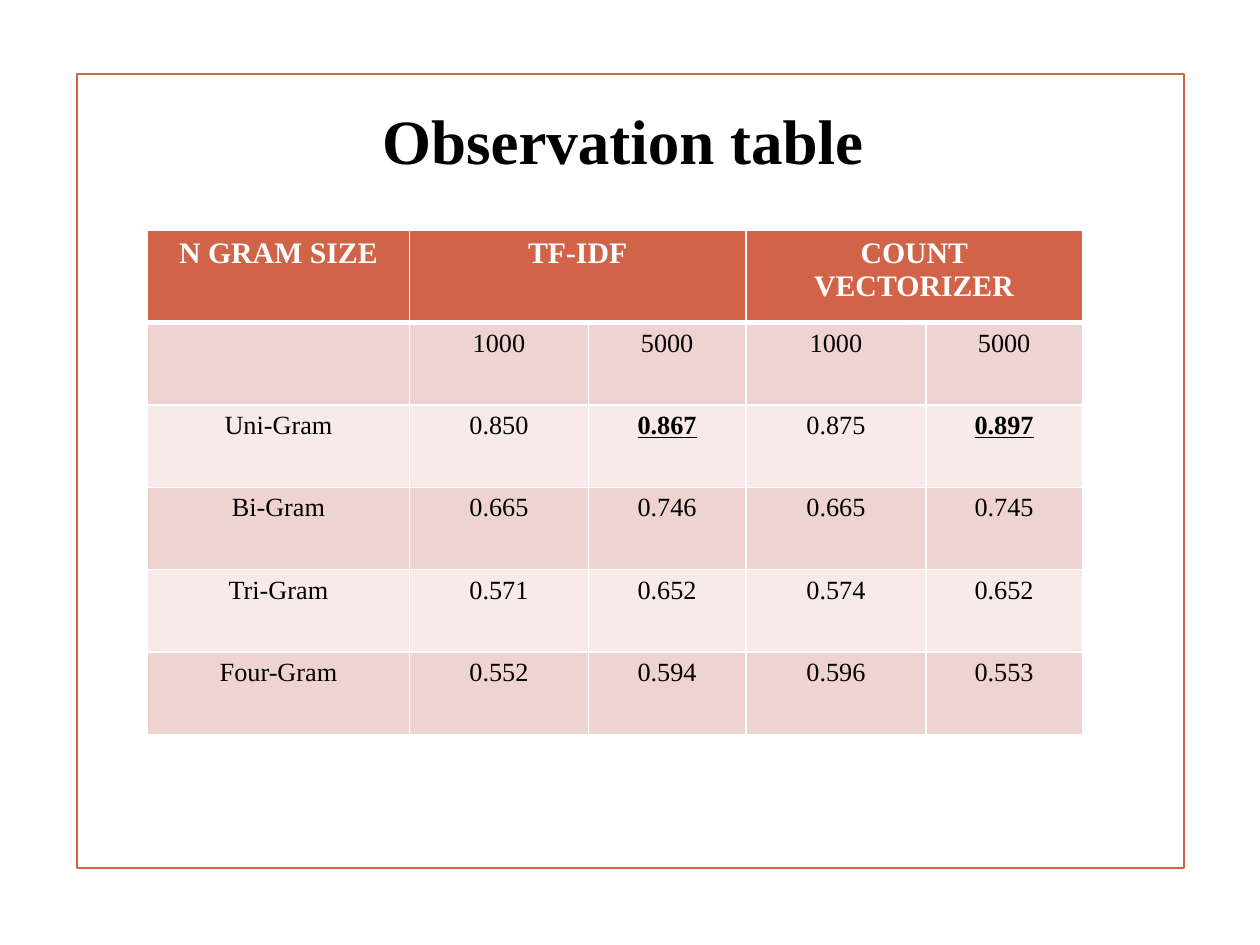
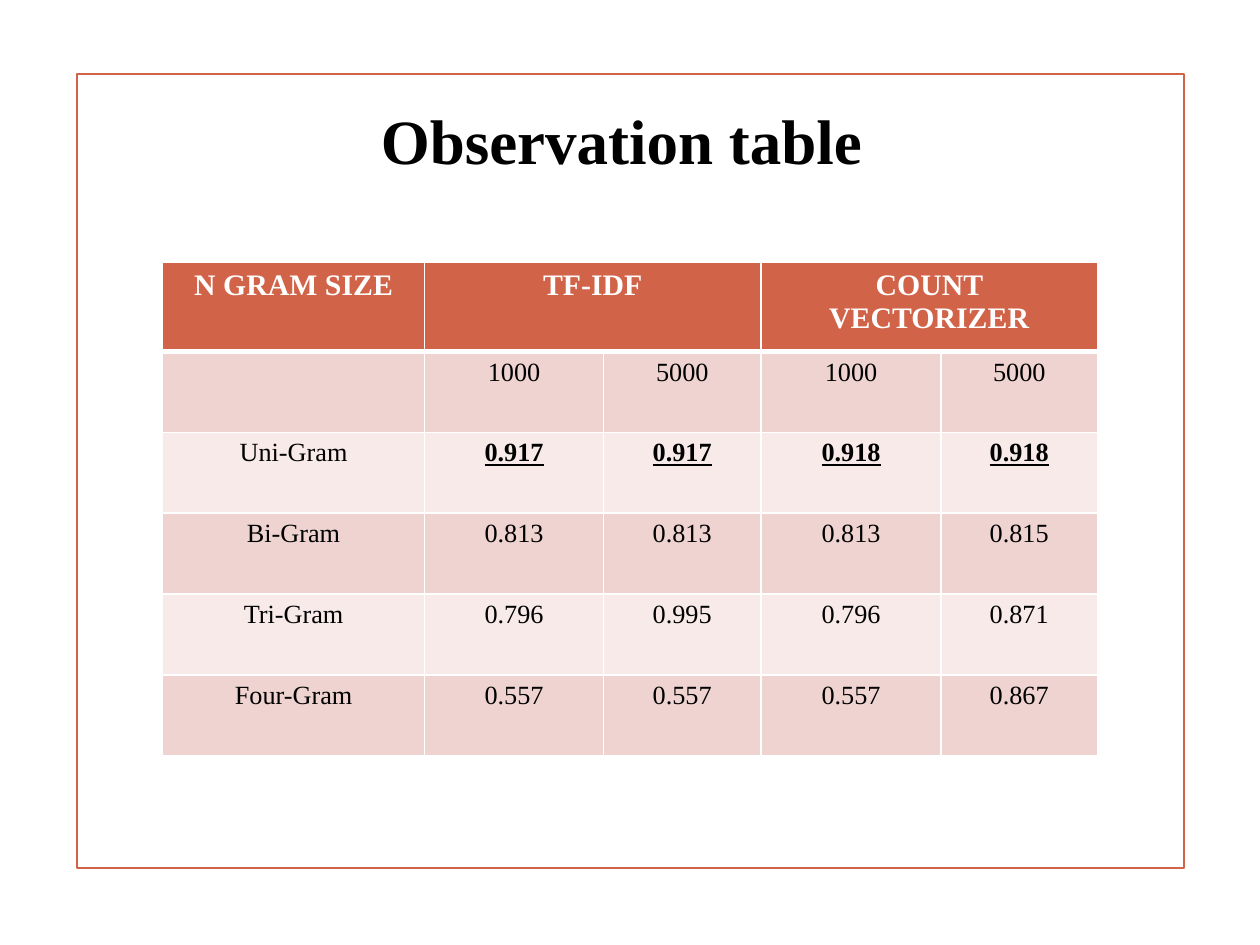
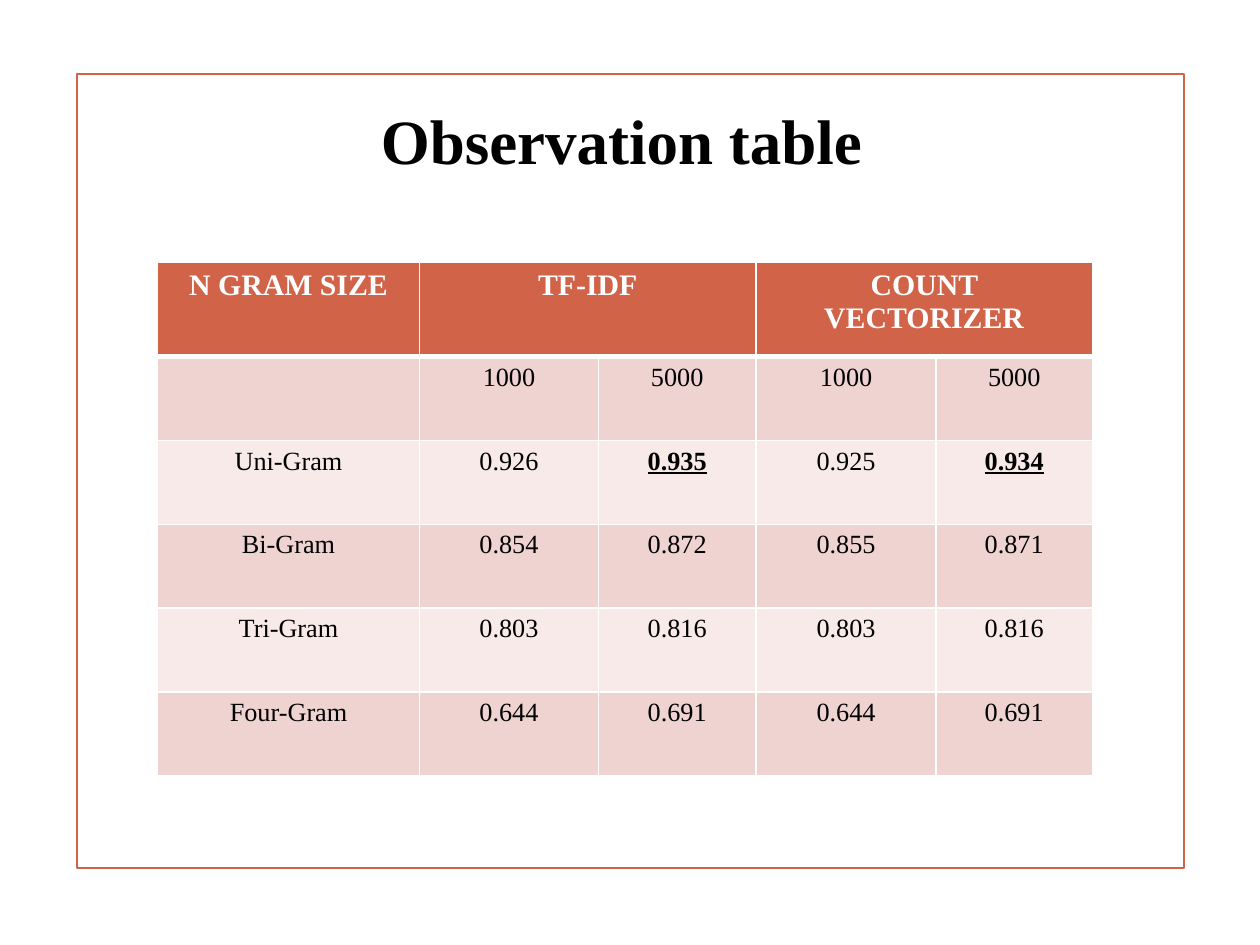
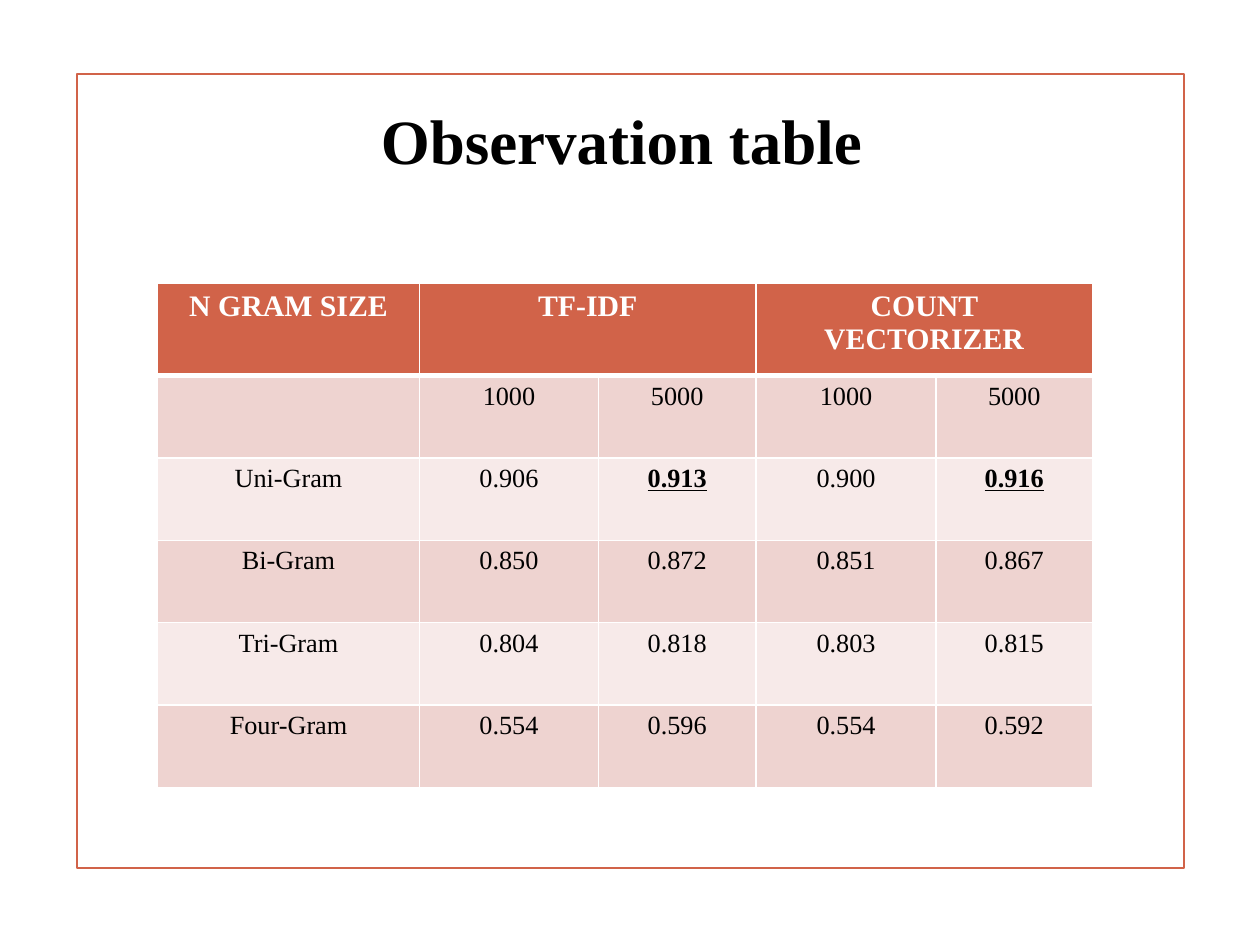
from dataclasses import dataclass

from lxml.etree import SubElement
from pptx import Presentation
from pptx.dml.color import RGBColor
from pptx.enum.shapes import MSO_SHAPE
from pptx.enum.text import MSO_ANCHOR, PP_ALIGN
from pptx.oxml.ns import qn
from pptx.util import Inches, Pt


@dataclass(frozen=True)
class Theme:
    font: str = "Times New Roman"
    accent: str = "D16349"
    band_dark: str = "EED3D0"
    band_light: str = "F7EAE9"
    white: str = "FFFFFF"
    black: str = "000000"
    title_size: float = 36
    header_size: float = 17
    body_size: float = 15
    frame_width: float = 1.25
    border: float = 1
    header_border: float = 3


@dataclass(frozen=True)
class Observation:
    """One slide: table place in inches, scores per n-gram, best Uni-Gram columns."""
    left: float
    top: float
    height: float
    header_height: float
    scores: tuple[str, ...]
    best_columns: tuple[int, ...] = (2, 4)
    title_left: float = 0.58
    title_width: float = 8.83


THEME = Theme()
TITLE = "Observation table "
HEADERS = {0: "N GRAM SIZE", 1: "TF-IDF", 3: "COUNT VECTORIZER"}
FEATURE_COUNTS = ("", "1000", "5000", "1000", "5000")
GRAMS = ("Uni-Gram", "Bi-Gram", "Tri-Gram", "Four-Gram")
COLUMN_WIDTHS = (2.08, 1.42, 1.25, 1.43, 1.24)
BEST_ROW = 2

OBSERVATIONS = (
    Observation(1.17, 1.83, 4, 0.73, (
        "0.850 0.867 0.875 0.897",
        "0.665 0.746 0.665 0.745",
        "0.571 0.652 0.574 0.652",
        "0.552 0.594 0.596 0.553",
    ), title_left=0.67, title_width=8.67),
    Observation(1.29, 2.08, 3.92, 0.71, (
        "0.917 0.917 0.918 0.918",
        "0.813 0.813 0.813 0.815",
        "0.796 0.995 0.796 0.871",
        "0.557 0.557 0.557 0.867",
    ), best_columns=(1, 2, 3, 4)),
    Observation(1.25, 2.08, 4.08, 0.75, (
        "0.926 0.935 0.925 0.934",
        "0.854 0.872 0.855 0.871",
        "0.803 0.816 0.803 0.816",
        "0.644 0.691 0.644 0.691",
    )),
    Observation(1.25, 2.25, 4, 0.73, (
        "0.906 0.913 0.900 0.916",
        "0.850 0.872 0.851 0.867",
        "0.804 0.818 0.803 0.815",
        "0.554 0.596 0.554 0.592",
    )),
)


def write_text(text_frame, text: str, *, size: float, color: str = THEME.black,
               bold: bool = False, underline: bool = False) -> None:
    paragraph = text_frame.paragraphs[0]
    paragraph.alignment = PP_ALIGN.CENTER
    run = paragraph.add_run()
    run.text = text
    run.font.name = THEME.font
    run.font.size = Pt(size)
    run.font.color.rgb = RGBColor.from_string(color)
    run.font.bold = bold
    run.font.underline = underline


def style_cell(cell, fill: str, top: float, bottom: float) -> None:
    cell.fill.solid()
    cell.fill.fore_color.rgb = RGBColor.from_string(fill)
    properties = cell._tc.get_or_add_tcPr()
    edges = {"L": THEME.border, "R": THEME.border, "T": top, "B": bottom}
    # Border lines must come before the fill
    for position, (edge, width) in enumerate(edges.items()):
        line = SubElement(properties, qn(f"a:ln{edge}"), w=str(Pt(width)))
        SubElement(SubElement(line, qn("a:solidFill")), qn("a:srgbClr"), val=THEME.white)
        properties.insert(position, line)


def add_layout_frame(layout, slide) -> None:
    """Put the border frame on the layout, behind its title."""
    for placeholder in list(layout.placeholders)[1:]:
        layout.shapes.element.remove(placeholder.element)
    frame = slide.shapes.add_shape(
        MSO_SHAPE.RECTANGLE, Inches(0.61), Inches(0.59), Inches(8.79), Inches(6.3))
    frame.shadow.inherit = False
    frame.fill.background()
    frame.line.color.rgb = RGBColor.from_string(THEME.accent)
    frame.line.width = Pt(THEME.frame_width)
    layout.shapes.element.insert(2, frame.element)


def add_title(slide, observation: Observation) -> None:
    title = slide.shapes.title
    title.left, title.top = Inches(observation.title_left), Inches(0.75)
    title.width, title.height = Inches(observation.title_width), Inches(0.71)
    title.text_frame.vertical_anchor = MSO_ANCHOR.BOTTOM
    write_text(title.text_frame, TITLE, size=THEME.title_size, bold=True)


def add_scores(slide, observation: Observation) -> None:
    body = [FEATURE_COUNTS]
    body += [(gram, *scores.split()) for gram, scores in zip(GRAMS, observation.scores)]
    scores_table = slide.shapes.add_table(
        len(body) + 1, len(COLUMN_WIDTHS), Inches(observation.left), Inches(observation.top),
        Inches(sum(COLUMN_WIDTHS)), Inches(observation.height)).table
    scores_table.horz_banding = False

    # Column and row sizes
    for column, width in zip(scores_table.columns, COLUMN_WIDTHS):
        column.width = Inches(width)
    body_height = (observation.height - observation.header_height) / len(body)
    for number, row in enumerate(scores_table.rows):
        row.height = Inches(body_height if number else observation.header_height)

    # Header row, with one heading over each pair of columns
    for column in range(len(COLUMN_WIDTHS)):
        style_cell(scores_table.cell(0, column), THEME.accent, THEME.border, THEME.header_border)
    for column, heading in HEADERS.items():
        cell = scores_table.cell(0, column)
        if column:
            cell.merge(scores_table.cell(0, column + 1))
        write_text(cell.text_frame, heading, size=THEME.header_size,
                   color=THEME.white, bold=True)

    # Banded body rows, with the best scores marked
    for row, values in enumerate(body, start=1):
        fill = THEME.band_dark if row % 2 else THEME.band_light
        top = THEME.header_border if row == 1 else THEME.border
        for column, value in enumerate(values):
            cell = scores_table.cell(row, column)
            style_cell(cell, fill, top, THEME.border)
            if value:
                best = row == BEST_ROW and column in observation.best_columns
                write_text(cell.text_frame, value, size=THEME.body_size,
                           bold=best, underline=best)


def main() -> None:
    presentation = Presentation()
    presentation.slide_width, presentation.slide_height = Inches(10), Inches(7.5)
    layout = presentation.slide_layouts.get_by_name("Title Only")
    slides = [presentation.slides.add_slide(layout) for _ in OBSERVATIONS]
    add_layout_frame(layout, slides[0])
    for slide, observation in zip(slides, OBSERVATIONS):
        add_title(slide, observation)
        add_scores(slide, observation)
    presentation.save("out.pptx")


if __name__ == "__main__":
    main()
